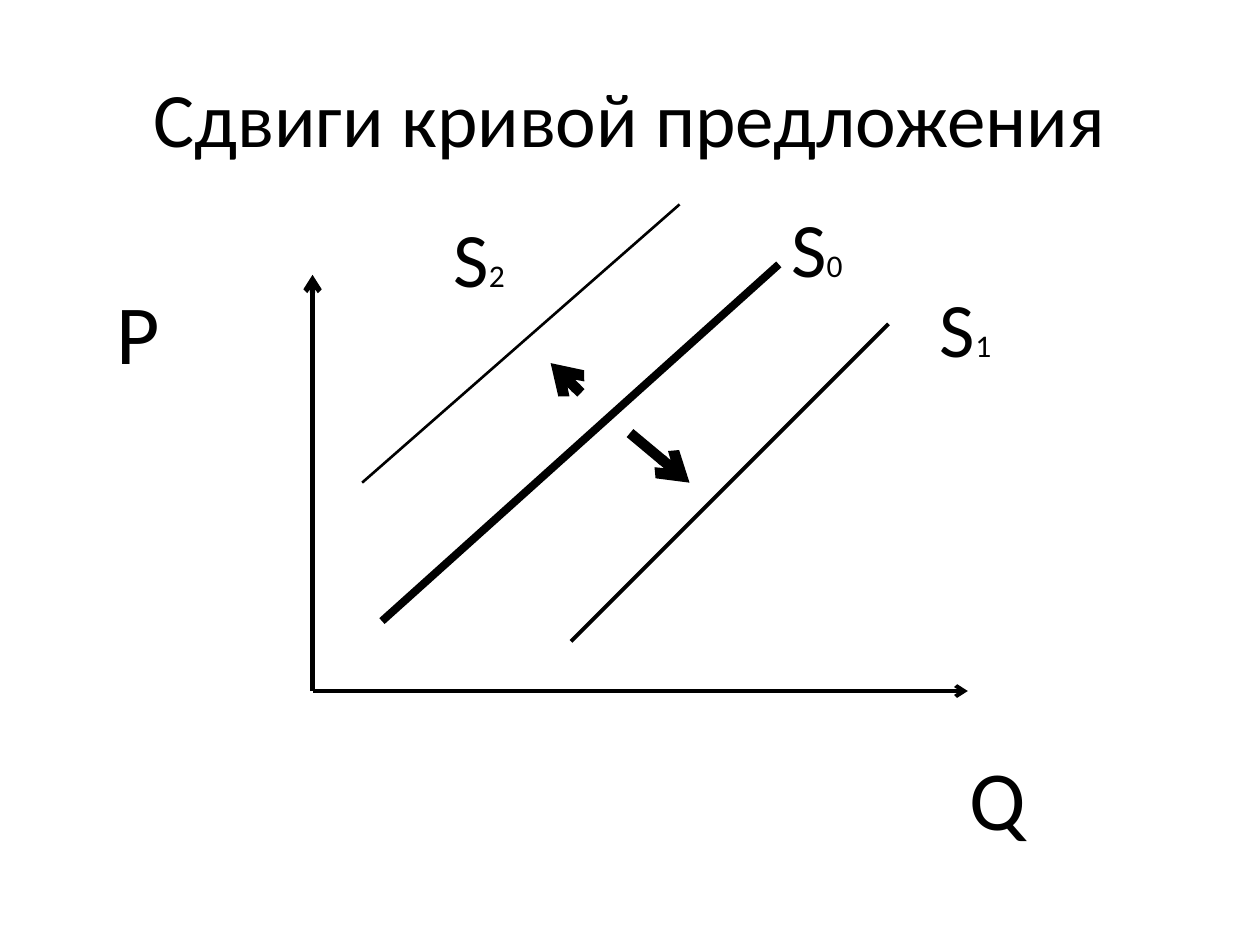
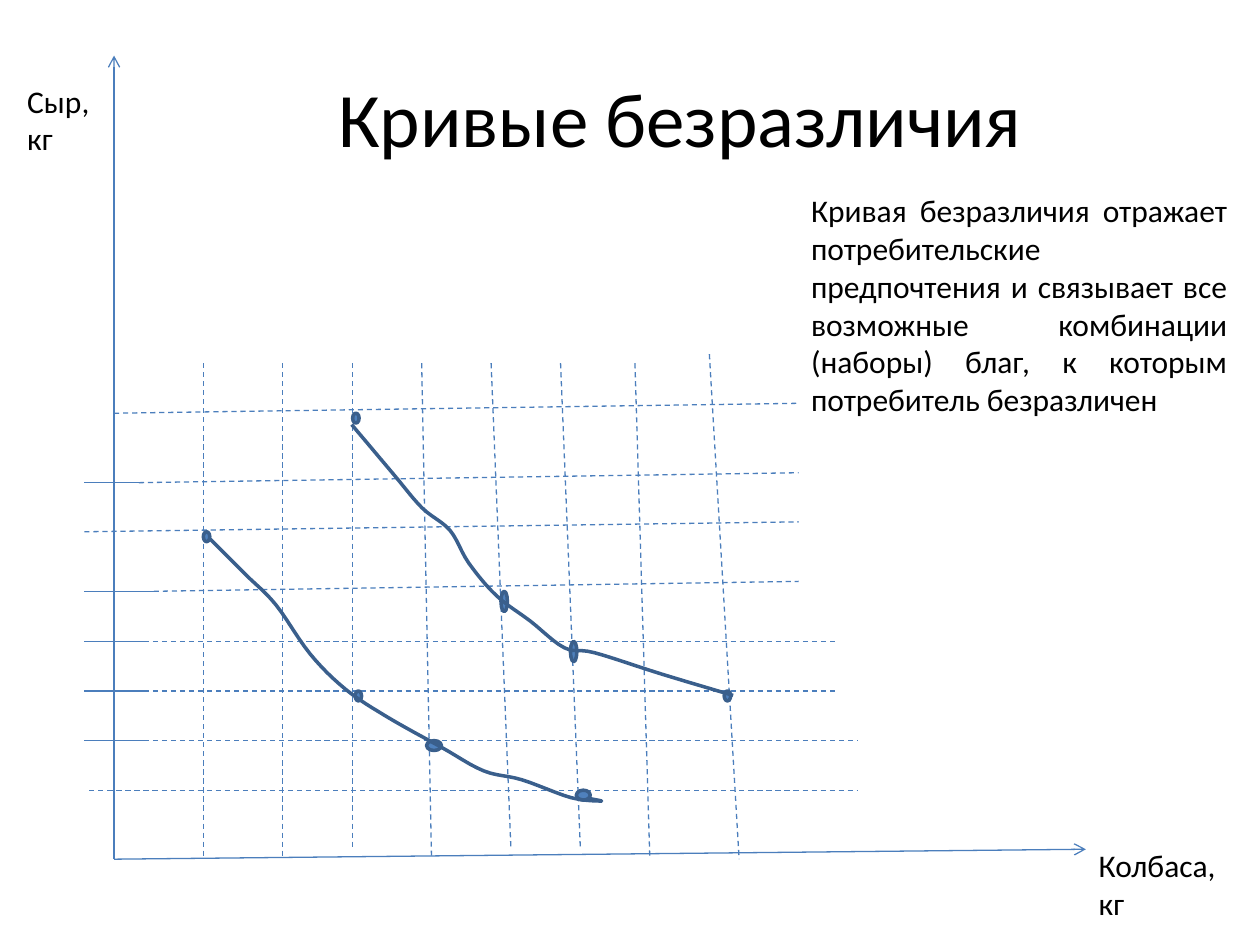
from dataclasses import dataclass
from typing import NamedTuple

from lxml.etree import SubElement
from pptx import Presentation
from pptx.dml.color import RGBColor as Rgb
from pptx.enum.dml import MSO_LINE as Dash
from pptx.enum.shapes import MSO_CONNECTOR as Link, MSO_SHAPE as Preset
from pptx.enum.text import MSO_ANCHOR as Anchor, MSO_AUTO_SIZE as Fit, PP_ALIGN as Align
from pptx.oxml.ns import qn
from pptx.util import Cm, Pt


@dataclass(frozen=True)
class Theme:
    font: str = "Calibri"
    ink: Rgb = Rgb.from_string("000000")
    grid: Rgb = Rgb.from_string("4B7EBC")
    dot: Rgb = Rgb.from_string("4F81BD")
    curve: Rgb = Rgb.from_string("3A5F8C")
    title: int = 44
    axis: int = 48
    symbol: int = 44
    body: int = 18
    thin: float = 0.75
    stroke: float = 2
    shift: float = 6


class Supply(NamedTuple):
    index: str
    start: tuple
    end: tuple
    weight: float
    label: tuple


class Row(NamedTuple):
    y: float
    start: float = 2.9
    end: float = 16.1
    rise: float = 0.2


class Column(NamedTuple):
    x: float
    lean: float = 0
    top: float = 7.32
    foot: float = 17.32


class Bundle(NamedTuple):
    column: int
    row: int
    width: float = 0.13
    height: float = 0.2
    shift: float = 0


def spline(knots, steps=6):
    padded = [knots[0], *knots, knots[-1]]
    points = [knots[0]]
    for before, start, end, after in zip(padded, padded[1:], padded[2:], padded[3:]):
        for step in range(1, steps + 1):
            t = step / steps
            points.append(tuple(
                b + ((c - a) * t + (2 * a - 5 * b + 4 * c - d) * t**2
                     + (3 * b - a - 3 * c + d) * t**3) / 2
                for a, b, c, d in zip(before, start, end, after)))
    return points


class Slides:
    """Draws titled economics charts, with all lengths in centimetres."""

    def __init__(self, theme):
        self.theme = theme
        self.deck = Presentation()
        self.deck.slide_width, self.deck.slide_height = Cm(25.4), Cm(19.05)
        self.page = None

    def add_page(self, title, left, width):
        self.page = self.deck.slides.add_slide(self.deck.slide_layouts[6])
        self.text((left, 0.76, width, 3.18), [(title, self.theme.title)],
                  Align.CENTER, Anchor.MIDDLE, Fit.NONE)

    def text(self, place, runs, align=Align.LEFT, anchor=Anchor.TOP, fit=Fit.SHAPE_TO_FIT_TEXT):
        box = self.page.shapes.add_textbox(*map(Cm, place))
        frame = box.text_frame
        for name, value in {"word_wrap": True, "auto_size": fit, "vertical_anchor": anchor}.items():
            setattr(frame, name, value)
        para = frame.paragraphs[0]
        para.alignment = align
        for words, size in runs:
            span = para.add_run()
            span.text = words
            for name, value in {"name": self.theme.font, "size": Pt(size)}.items():
                setattr(span.font, name, value)
            span.font.color.rgb = self.theme.ink

    def line(self, start, end, color, width, dashed=False, arrow=False):
        link = self.page.shapes.add_connector(Link.STRAIGHT, *map(Cm, (*start, *end)))
        self.outline(link, color, width)
        if dashed:
            link.line.dash_style = Dash.DASH
        if arrow:
            SubElement(link.line._get_or_add_ln(), qn("a:tailEnd"), type="arrow")
        SubElement(link._element.spPr, qn("a:effectLst"))

    def outline(self, shape, color, width):
        shape.line.color.rgb = color
        shape.line.width = Pt(width)

    def dot(self, place):
        shape = self.page.shapes.add_shape(Preset.FLOWCHART_CONNECTOR, *map(Cm, place))
        shape.shadow.inherit = False
        shape.fill.solid()
        shape.fill.fore_color.rgb = self.theme.dot
        self.outline(shape, self.theme.curve, self.theme.stroke)

    def curve(self, knots):
        first, *rest = [(Cm(x), Cm(y)) for x, y in spline(knots)]
        builder = self.page.shapes.build_freeform(*first)
        builder.add_line_segments(rest, close=False)
        shape = builder.convert_to_shape()
        shape.shadow.inherit = False
        shape.fill.background()
        self.outline(shape, self.theme.curve, self.theme.stroke)


def draw_supply_shifts(slides):
    theme = slides.theme
    origin = (6.3, 13.93)
    price_end, quantity_end = (origin[0], 5.54), (19.51, origin[1])
    supplies = [
        Supply("0", (7.7, 12.52), (15.7, 5.33), 4.5, (15.7, 3.92)),
        Supply("1", (11.51, 12.93), (17.91, 6.53), 2.25, (18.7, 5.54)),
        Supply("2", (7.3, 9.73), (13.7, 4.12), 1.5, (8.89, 4.11)),
    ]
    decrease = ((11.71, 7.92), (11.1, 7.32))
    increase = ((12.7, 8.73), (13.9, 9.73))

    slides.add_page("Сдвиги кривой предложения", 1.27, 22.86)
    for end, weight in [(price_end, 3), (quantity_end, 2.25)]:
        slides.line(origin, end, theme.ink, weight, arrow=True)
    for name, left, top in [("P", 2.1, 5.54), ("Q", 19.3, 14.93)]:
        slides.text((left, top, 3.6, 2.31), [(name, theme.axis)])
    for supply in supplies:
        slides.line(supply.start, supply.end, theme.ink, supply.weight)
        slides.text((*supply.label, 2.6, 2.13),
                    [("S", theme.symbol), (supply.index, theme.body)])
    for start, end in (decrease, increase):
        slides.line(start, end, theme.ink, theme.shift, arrow=True)


def draw_indifference_curves(slides):
    theme = slides.theme
    origin = (2.3, 17.32)
    cheese_end, sausage_end = (origin[0], 1.12), (21.89, 17.12)
    tick_start, tick_end = 1.7, 2.9
    rows = [Row(8.33, origin[0]), Row(9.73, 2.8), Row(10.72, tick_start), Row(11.92, 3.1)]
    flat_rows = [(2.9, 16.89), (2.9, 16.89), (2.9, 17.3), (1.8, 17.3)]
    rows += [Row(12.93 + step, start, end, 0) for step, (start, end) in enumerate(flat_rows)]
    columns = [
        Column(4.1), Column(5.69), Column(7.11, foot=17.12), Column(8.5, 0.2),
        Column(9.9, 0.4, foot=17.12), Column(11.3, 0.4, foot=17.12),
        Column(12.8, 0.3), Column(14.3, 0.6, top=7.14),
    ]
    preferred_bundles = [Bundle(2, 0), Bundle(4, 3, height=0.41),
                         Bundle(5, 4, height=0.41), Bundle(7, 5)]
    modest_bundles = [Bundle(0, 2), Bundle(2, 5, shift=0.05), Bundle(3, 6, width=0.3),
                      Bundle(5, 7, width=0.28, shift=0.12)]
    preferred_knots = [
        (7.09, 8.56), (7.95, 9.58), (8.51, 10.24), (9.07, 10.69), (9.45, 11.35),
        (10.01, 12.01), (10.69, 12.52), (11.38, 13.06), (11.99, 13.16), (13.34, 13.59),
        (14.78, 14.02),
    ]
    modest_knots = [
        (4.24, 10.87), (4.95, 11.58), (5.56, 12.19), (6.25, 13.18), (6.96, 13.89),
        (7.8, 14.45), (8.89, 15.06), (9.75, 15.54), (10.52, 15.72), (11.51, 16.08),
        (12.12, 16.15), (11.89, 16.1),
    ]

    slides.add_page("Кривые безразличия", 3.3, 20.83)
    for end in (cheese_end, sausage_end):
        slides.line(origin, end, theme.grid, theme.thin, arrow=True)
    for row in rows:
        slides.line((row.start, row.y), (row.end, row.y - row.rise),
                    theme.grid, theme.thin, dashed=True)
        if row.start > origin[0]:
            slides.line((tick_start, row.y), (max(row.start, tick_end), row.y),
                        theme.grid, theme.thin)
    for column in columns:
        slides.line((column.x, column.top), (column.x + column.lean, column.foot),
                    theme.grid, theme.thin, dashed=True)
    for bundles, knots in [(preferred_bundles, preferred_knots), (modest_bundles, modest_knots)]:
        for bundle in bundles:
            column = columns[bundle.column]
            left = column.x + column.lean / 2 + bundle.shift
            slides.dot((left, rows[bundle.row].y, bundle.width, bundle.height))
        slides.curve(knots)
    slides.text((0.3, 1.52, 1.8, 1.8), [("Сыр, кг", theme.body)])
    slides.text((21.9, 16.93, 3, 1.8), [("Колбаса,кг", theme.body)])
    slides.text((16.1, 3.73, 8.89, 4.88), [(
        "Кривая безразличия отражает потребительские предпочтения и связывает "
        "все возможные комбинации (наборы) благ, к которым потребитель безразличен",
        theme.body)], Align.JUSTIFY)


def main():
    slides = Slides(Theme())
    draw_supply_shifts(slides)
    draw_indifference_curves(slides)
    slides.deck.save("out.pptx")


if __name__ == "__main__":
    main()
